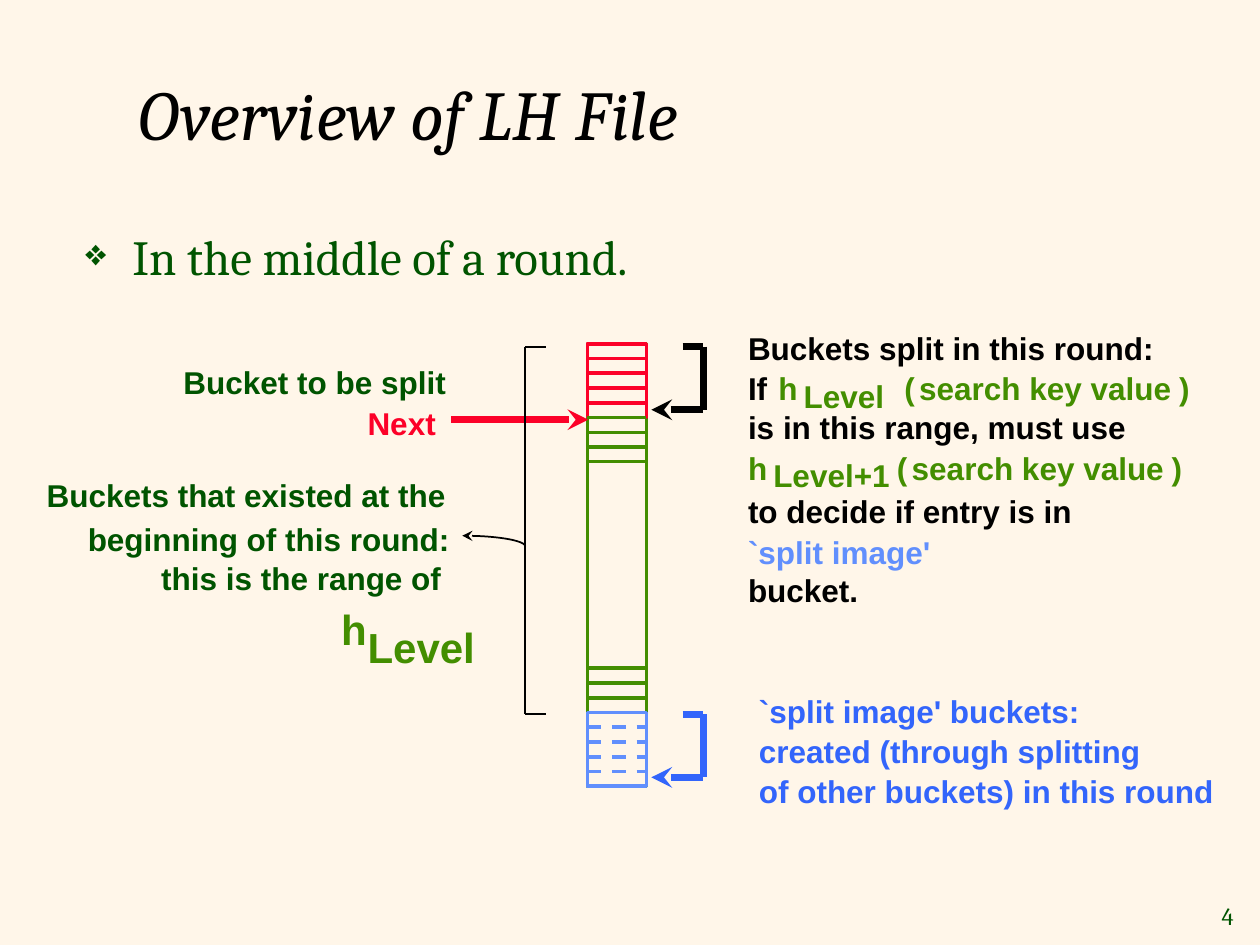
import pptx
import pptx.util
import pptx.dml.color
import pptx.enum.dml
import pptx.enum.shapes
import pptx.enum.text
import pptx.oxml
import pptx.oxml.ns
import lxml.etree

Cm = pptx.util.Cm
Pt = pptx.util.Pt
RGBColor = pptx.dml.color.RGBColor
Shape = pptx.enum.shapes.MSO_SHAPE
Align = pptx.enum.text.PP_ALIGN
Anchor = pptx.enum.text.MSO_ANCHOR
qn = pptx.oxml.ns.qn

CREAM = RGBColor(0xFF, 0xF6, 0xE9)
BLACK = RGBColor(0x00, 0x00, 0x00)
DARK_GREEN = RGBColor(0x00, 0x54, 0x00)
GREEN = RGBColor(0x43, 0x8E, 0x00)
RED = RGBColor(0xFC, 0x01, 0x28)
BLUE = RGBColor(0x33, 0x65, 0xFB)
LIGHT_BLUE = RGBColor(0x61, 0x8F, 0xFD)


def write(paragraph, text, font="Arial", size=18, color=BLACK, bold=True, italic=False):
    run = paragraph.add_run()
    run.text = text
    run.font.name = font
    run.font.size = Pt(size)
    run.font.bold = bold
    run.font.italic = italic
    run.font.color.rgb = color
    return run


class Diagram:
    serif = {"font": "Cambria", "bold": False}

    def __init__(self, slide):
        self.slide = slide
        slide.background.fill.solid()
        slide.background.fill.fore_color.rgb = CREAM

    def title(self, text, left, top, width, height):
        heading = self.slide.shapes.title
        heading.left, heading.top = Cm(left), Cm(top)
        heading.width, heading.height = Cm(width), Cm(height)
        heading.text_frame.vertical_anchor = Anchor.MIDDLE
        paragraph = heading.text_frame.paragraphs[0]
        paragraph.alignment = Align.LEFT
        write(paragraph, text, size=40, italic=True, **self.serif)

    def label(self, text, left, top, width, height=1.02, wrap=False, align=Align.LEFT, **style):
        box = self.slide.shapes.add_textbox(Cm(left), Cm(top), Cm(width), Cm(height))
        frame = box.text_frame
        frame.word_wrap = wrap
        if not wrap:
            frame.auto_size = pptx.enum.text.MSO_AUTO_SIZE.SHAPE_TO_FIT_TEXT
        paragraph = frame.paragraphs[0]
        paragraph.alignment = align
        write(paragraph, text, **style)
        return paragraph

    def bullet(self, text, left, top, width, height):
        paragraph = self.label(text, left, top, width, height, wrap=True,
                               size=28, color=DARK_GREEN, **self.serif)
        properties = paragraph._p.get_or_add_pPr()
        properties.set("marL", str(Cm(0.95)))
        properties.set("indent", str(-Cm(0.95)))
        lxml.etree.SubElement(properties, qn("a:buSzPct")).set("val", "75000")
        lxml.etree.SubElement(properties, qn("a:buChar")).set("char", "❖")

    def style_line(self, shape, color, weight, arrow=False):
        shape.line.color.rgb = color
        shape.line.width = Pt(weight)
        if arrow:
            head = lxml.etree.SubElement(shape.line._get_or_add_ln(), qn("a:headEnd"))
            head.set("type", "stealth")

    def line(self, x1, y1, x2, y2, color, weight, arrow=False, dashed=False, group=None):
        shapes = group.shapes if group else self.slide.shapes
        line = shapes.add_connector(pptx.enum.shapes.MSO_CONNECTOR.STRAIGHT,
                                    Cm(x1), Cm(y1), Cm(x2), Cm(y2))
        if dashed:
            line.line.dash_style = pptx.enum.dml.MSO_LINE.DASH
        self.style_line(line, color, weight, arrow)
        lxml.etree.SubElement(line._element.spPr, qn("a:effectLst"))

    def outline(self, kind, left, top, width, height, color, weight, arrow=False):
        shape = self.slide.shapes.add_shape(kind, Cm(left), Cm(top), Cm(width), Cm(height))
        shape.shadow.inherit = False
        shape.fill.background()
        self.style_line(shape, color, weight, arrow)

    def split_bracket(self, top, color):
        """Square bracket with an arrow back to the last bucket of a range."""
        group = self.slide.shapes.add_group_shape()
        right, bottom = 14.18, top + 1.27
        self.line(13.76, top, right, top, color, 4, group=group)
        self.line(right, top, right, bottom, color, 4, group=group)
        self.line(13.13, bottom, right, bottom, color, 4, arrow=True, group=group)

    def hash_call(self, left, top, level, level_width, paren_left):
        """h with a lowered level, applied to the search key value."""
        self.label("h ", left, top, 1.07, color=GREEN)
        self.label(level, left + 0.51, top + 0.15, level_width, color=GREEN)
        self.label("(", paren_left, top, 0.71, color=GREEN)
        self.label("search key value ", paren_left + 0.3, top, 5.77, color=GREEN)
        self.label(")", paren_left + 5.54, top, 0.71, color=GREEN)


deck = pptx.Presentation()
deck.slide_width, deck.slide_height = Cm(25.4), Cm(19.05)
diagram = Diagram(deck.slides.add_slide(deck.slide_layouts[5]))

# Heading, statement and page number
diagram.title("Overview of LH File", 2.54, 0.74, 21.59, 3.07)
diagram.bullet("In the middle of a round.", 1.47, 4.45, 23.29, 2.74)
diagram.label("4", 24, 18.03, 1.12, 0.84, align=Align.RIGHT, size=14,
              color=DARK_GREEN, **diagram.serif)

# Labels left of the file
for text, left, top, width, color in [
    ("Bucket to be split ", 3.45, 7.19, 5.97, DARK_GREEN),
    ("Next", 7.16, 8.03, 1.9, RED),
    ("Buckets that existed at the", 0.69, 9.47, 8.6, DARK_GREEN),
    ("beginning of this round: ", 1.52, 10.36, 7.98, DARK_GREEN),
    ("this is the range of", 3, 11.15, 6.2, DARK_GREEN),
]:
    diagram.label(text, left, top, width, color=color)
diagram.label("h ", 6.63, 12.04, 1.24, 1.27, size=24, color=GREEN)
diagram.label("Level", 7.16, 12.4, 2.7, 1.27, size=24, color=GREEN)

# Rule for buckets already split
for text, top, width in [
    ("Buckets split in this round:", 6.5, 8.75),
    ("If ", 7.32, 1.07),
    ("is in this range, must use", 8.1, 8.2),
    ("to decide if entry is in ", 9.8, 7.21),
]:
    diagram.label(text, 14.83, top, width)
diagram.hash_call(15.44, 7.32, "Level", 2.2, 17.98)
diagram.hash_call(14.83, 8.92, "Level+1", 3, 17.83)
image_name = diagram.label("`split image' ", 14.83, 10.62, 6.58, color=LIGHT_BLUE)
image_name.add_line_break()
write(image_name, "bucket.")

# Note on the split image buckets
for row, (text, width) in enumerate([
    ("`split image' buckets:", 7.2),
    ("created (through splitting", 8.3),
    ("of other buckets) in this round", 9.8),
]):
    diagram.label(text, 15.05, 13.82 + 0.81 * row, width, color=BLUE)

# File of 30 equal buckets: first slot, last slot, frame colour, dividers
FILE_LEFT, FILE_TOP, FILE_WIDTH, SLOT = 11.84, 6.93, 1.19, 8.92 / 30
for first, last, color, dividers, dashed in [
    (0, 30, GREEN, [22, 23, 24], False),
    (25, 30, LIGHT_BLUE, range(26, 30), True),
    (0, 5, RED, range(1, 5), False),
    (5, 25, GREEN, range(6, 9), False),
]:
    if color != GREEN or first == 0:
        diagram.outline(Shape.RECTANGLE, FILE_LEFT, FILE_TOP + first * SLOT,
                        FILE_WIDTH, (last - first) * SLOT, color, 2)
    else:
        dividers = [first, *dividers]
    for slot in dividers:
        y = FILE_TOP + slot * SLOT
        diagram.line(FILE_LEFT, y, FILE_LEFT + FILE_WIDTH, y, color, 2, dashed=dashed)

# Brackets and pointers
diagram.split_bracket(6.99, BLACK)
diagram.split_bracket(14.4, BLUE)
diagram.line(11.86, 8.46, 9.09, 8.46, RED, 4, arrow=True)
for y in (6.99, 14.4):
    diagram.line(11, y, 10.59, y, BLACK, 1)
diagram.line(10.59, 6.99, 10.59, 14.4, BLACK, 1)
diagram.outline(Shape.ARC, 8.05, 10.8, 2.54, 0.43, BLACK, 1, arrow=True)

deck.save("out.pptx")
